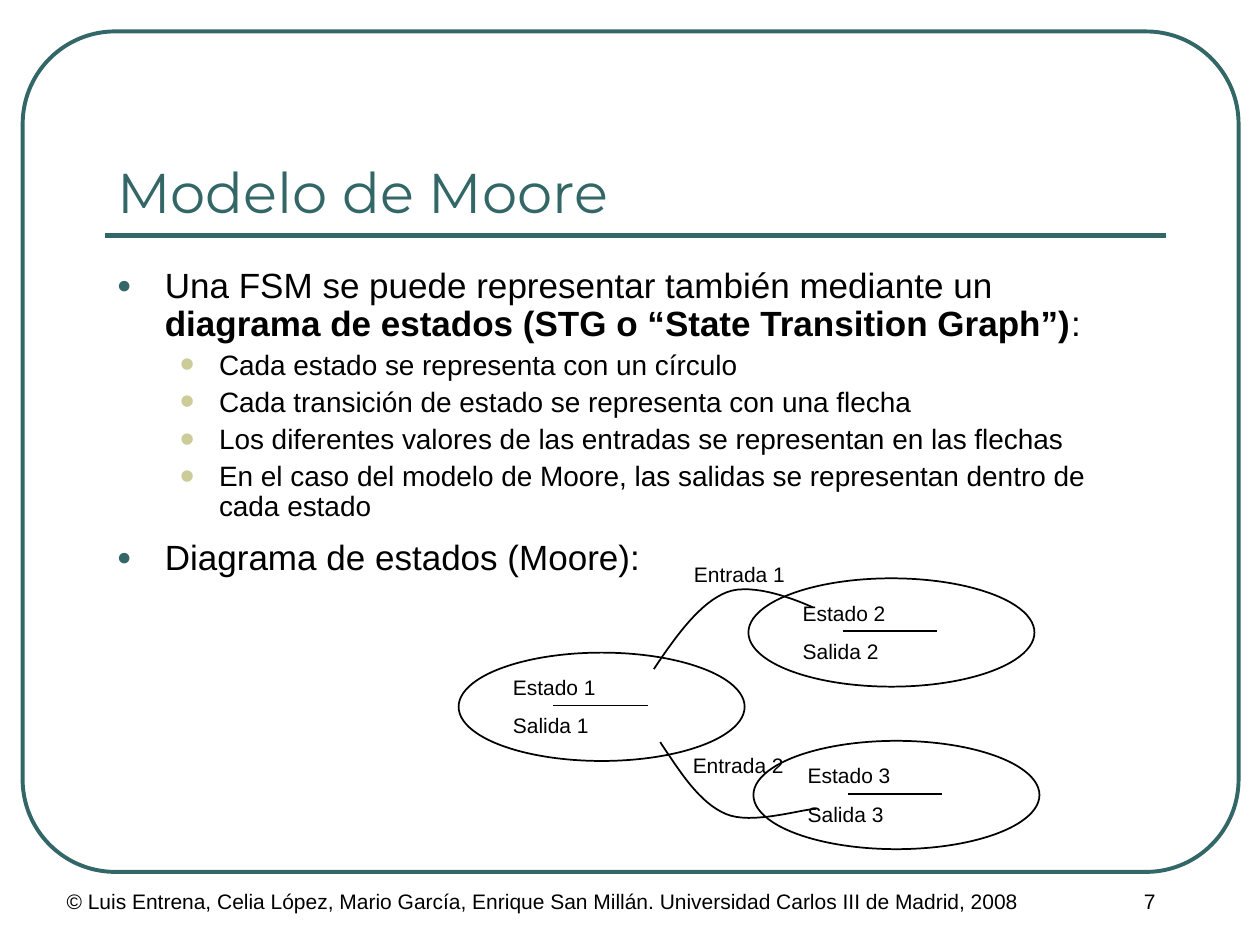
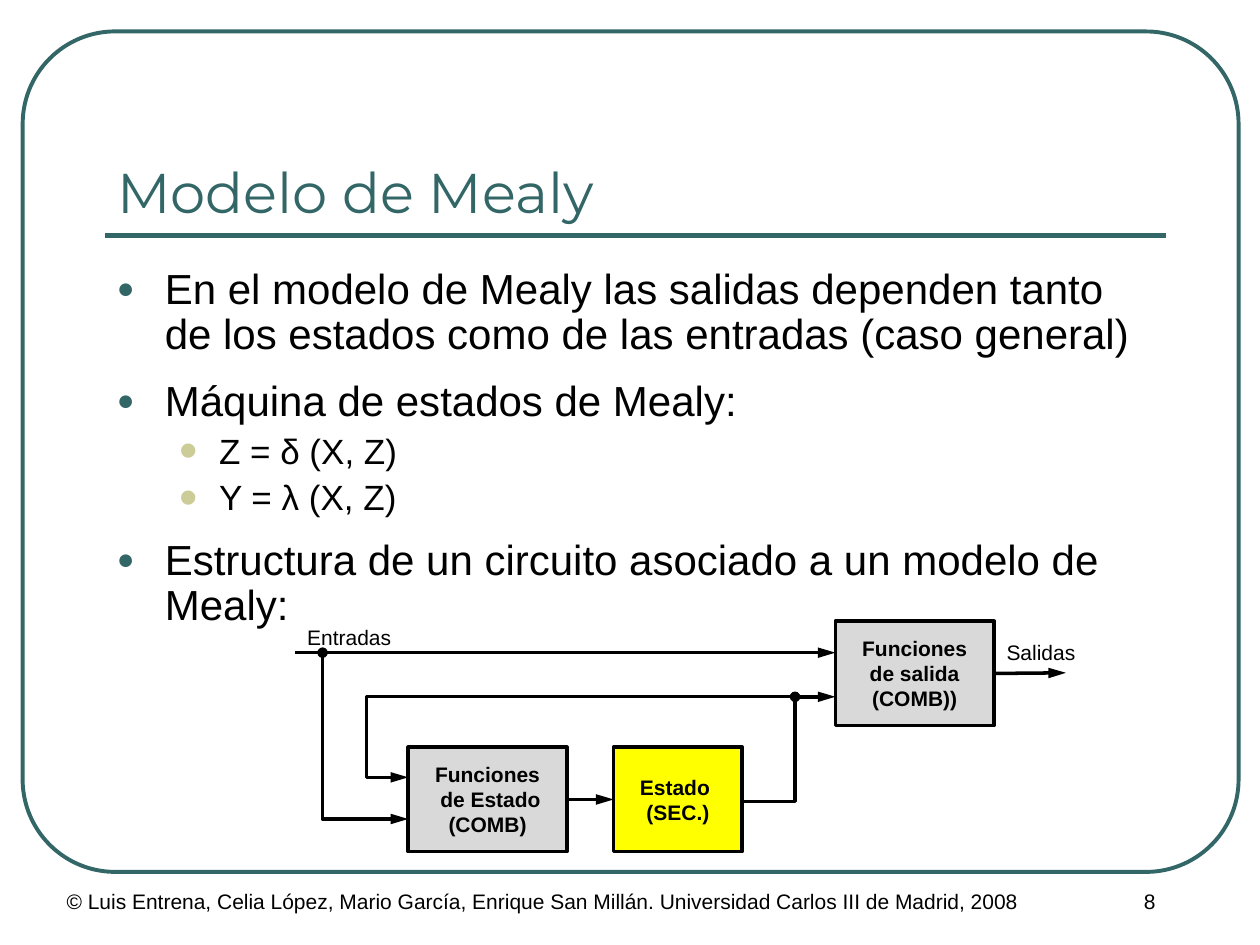
import pptx
import pptx.util
import pptx.dml.color
import pptx.enum.shapes
import pptx.enum.text
import pptx.oxml.ns
from lxml import etree

Inches = pptx.util.Inches
Pt = pptx.util.Pt
RGBColor = pptx.dml.color.RGBColor
Shape = pptx.enum.shapes.MSO_SHAPE
Align = pptx.enum.text.PP_ALIGN
Anchor = pptx.enum.text.MSO_ANCHOR
Fit = pptx.enum.text.MSO_AUTO_SIZE
qn = pptx.oxml.ns.qn

TEAL = RGBColor(0x33, 0x66, 0x66)
SAND = RGBColor(0xCC, 0xCC, 0x99)
BLACK = RGBColor(0, 0, 0)
GRAY = RGBColor(0xD9, 0xD9, 0xD9)
YELLOW = RGBColor(0xFF, 0xFF, 0)

CREDIT = ("© Luis Entrena, Celia López, Mario García, Enrique San Millán. "
          "Universidad Carlos III de Madrid, 2008")
BODY = (0.83, 2.08, 8.42, 4.79)
LEVELS = [("●", TEAL, 70, 0.38, 0.38), ("•", SAND, 150, 0.81, 0.31)]


def write(frame, text, size=12, color=BLACK, font="Arial", bold=False,
          align=Align.LEFT, before=0, lead=None):
    para = frame.paragraphs[0]
    if para.runs:
        para = frame.add_paragraph()
        para.space_before = Pt(before)
    para.alignment = align
    if lead:
        para.line_spacing = lead
    for row, line in enumerate(text.split("\n")):
        if row:
            para.add_line_break()
        for part, words in enumerate(line.split("**")):
            run = para.add_run()
            run.text = words
            run.font.size = Pt(size)
            run.font.name = font
            run.font.bold = bold or part % 2 == 1
            run.font.color.rgb = color
    for stop in para._p.findall(qn("a:br")):
        etree.SubElement(stop, qn("a:rPr"), sz=str(size * 100))
    return para


def dot(para, level):
    char, color, scale, left, hang = LEVELS[level]
    para.level = level
    props = para._p.get_or_add_pPr()
    props.set("marL", str(Inches(left)))
    props.set("indent", str(-Inches(hang)))
    tint = etree.SubElement(props, qn("a:buClr"))
    etree.SubElement(tint, qn("a:srgbClr"), val=str(color))
    etree.SubElement(props, qn("a:buSzPct"), val=str(scale * 1000))
    etree.SubElement(props, qn("a:buFont"), typeface="Arial")
    etree.SubElement(props, qn("a:buChar"), char=char)


def label(slide, box, text, **style):
    item = slide.shapes.add_textbox(*map(Inches, box))
    item.text_frame.word_wrap = True
    write(item.text_frame, text, **style)


def points(slide, box, rows, sizes, gaps):
    frame = slide.shapes.add_textbox(*map(Inches, box)).text_frame
    frame.word_wrap = True
    for level, text in rows:
        para = write(frame, text, size=sizes[level], before=gaps[level], lead=0.9)
        dot(para, level)


def stroke(item, color, width, head=None, tail=None):
    item.line.color.rgb = color
    item.line.width = Pt(width)
    edge = item.line._get_or_add_ln()
    if head:
        etree.SubElement(edge, qn("a:headEnd"), type=head)
    if tail:
        etree.SubElement(edge, qn("a:tailEnd"), type=tail, w="med", len="lg")


def solid(slide, kind, box, fill=None, color=BLACK, width=1):
    item = slide.shapes.add_shape(kind, *map(Inches, box))
    item.shadow.inherit = False
    if fill:
        item.fill.solid()
        item.fill.fore_color.rgb = fill
    else:
        item.fill.background()
    stroke(item, color, width)
    return item


def line(slide, start, end, color=BLACK, width=1, head=None, tail=None):
    item = slide.shapes.add_connector(
        pptx.enum.shapes.MSO_CONNECTOR.STRAIGHT, *map(Inches, start + end))
    stroke(item, color, width, head, tail)
    etree.SubElement(item._element.spPr, qn("a:effectLst"))
    return item


def trace(slide, spots, width=1, head=None, tail=None):
    spots = [(Inches(x), Inches(y)) for x, y in spots]
    pen = slide.shapes.build_freeform(*spots[0])
    pen.add_line_segments(spots[1:], close=False)
    item = pen.convert_to_shape()
    item.shadow.inherit = False
    item.fill.background()
    stroke(item, BLACK, width, head, tail)


def curve(knots, steps=16):
    spots = [knots[0]]
    for first in range(0, len(knots) - 1, 3):
        a, b, c, d = knots[first:first + 4]
        for step in range(1, steps + 1):
            t = step / steps
            u = 1 - t
            spots.append(tuple(
                u**3 * a[k] + 3 * u * u * t * b[k] + 3 * u * t * t * c[k] + t**3 * d[k]
                for k in (0, 1)))
    return spots


def base(deck, title, number):
    slide = deck.slides.add_slide(deck.slide_layouts[5])
    frame = solid(slide, Shape.ROUNDED_RECTANGLE, (0.18, 0.25, 9.65, 6.67),
                  color=TEAL, width=2.25)
    frame.adjustments[0] = 0.11
    line(slide, (0.83, 1.87), (9.25, 1.87), color=TEAL, width=3)
    label(slide, (0.43, 7, 8.5, 0.5), CREDIT)
    label(slide, (8.25, 7, 1.75, 0.5), str(number), align=Align.CENTER)
    head = slide.shapes.title
    head.left, head.top, head.width, head.height = map(Inches, (0.83, 0.58, 8.42, 1.25))
    head.text_frame.auto_size = Fit.NONE
    head.text_frame.vertical_anchor = Anchor.BOTTOM
    write(head.text_frame, title, size=32, color=TEAL, font="Montserrat")
    return slide


def state(slide, left, top, number):
    item = solid(slide, Shape.OVAL, (left, top, 2.27, 0.86))
    frame = item.text_frame
    frame.word_wrap = True
    frame.vertical_anchor = Anchor.TOP
    for name in ("Estado", "Salida"):
        write(frame, f"{name} {number}", before=7.5)
    line(slide, (left + 0.75, top + 0.42), (left + 1.5, top + 0.42))


def graph(slide, left, top):
    for number, (x, y) in enumerate([(0, 0.59), (2.3, 0), (2.34, 1.29)], 1):
        state(slide, left + x, top + y, number)
    rise = [(1.55, 0.72), (1.73, 0.45), (1.92, 0.19), (2.13, 0.11),
            (2.34, 0.03), (2.7, 0.18), (2.81, 0.23)]
    fall = [(1.6, 1.3), (1.76, 1.54), (1.91, 1.78), (2.12, 1.87),
            (2.32, 1.96), (2.73, 1.83), (2.84, 1.83)]
    for knots in (rise, fall):
        trace(slide, curve([(left + x, top + y) for x, y in knots]))
    for number, (x, y) in enumerate([(1.77, -0.18), (1.76, 1.33)], 1):
        label(slide, (left + x, top + y, 1.56, 0.3), f"Entrada {number}")


def block(slide, box, text, fill):
    item = solid(slide, Shape.RECTANGLE, box, fill=fill, width=2)
    item.text_frame.word_wrap = False
    item.text_frame.vertical_anchor = Anchor.MIDDLE
    write(item.text_frame, text, bold=True, align=Align.CENTER)
    return item


def circuit(slide, left, top):
    def at(x, y):
        return left + x, top + y

    wide, high = 1.26, 0.83
    logic = block(slide, (*at(0.9, 1), wide, high), "Funciones\n de Estado\n(COMB)", GRAY)
    store = block(slide, (*at(2.53, 1), 1.02, high), "Estado \n(SEC.)", YELLOW)
    out = block(slide, (*at(4.29, 0), wide, high), "Funciones\nde salida\n(COMB))", GRAY)

    arrow = dict(width=2, tail="triangle")
    link = line(slide, at(2.16, 1.41), at(2.53, 1.41), **arrow)
    link.begin_connect(logic, 3)
    link.end_connect(store, 1)
    line(slide, at(5.55, 0.41), at(6.12, 0.41), **arrow).begin_connect(out, 3)
    line(slide, at(0, 0.25), at(4.29, 0.25), **arrow)
    line(slide, at(3.97, 0.6), at(4.29, 0.6), head="oval", **arrow)
    trace(slide, [at(3.55, 1.43), at(3.97, 1.43), at(3.97, 0.6),
                  at(0.57, 0.6), at(0.57, 1.24), at(0.9, 1.24)], **arrow)
    trace(slide, [at(0.22, 0.25), at(0.22, 1.57), at(0.9, 1.57)], head="oval", **arrow)
    label(slide, (*at(0, -0.02), 1.1, 0.3), "Entradas")
    label(slide, (*at(5.55, 0.1), 1, 0.3), "Salidas")


def moore(deck):
    slide = base(deck, "Modelo de Moore", 7)
    points(slide, BODY, [
        (0, "Una FSM se puede representar también mediante un "
            "**diagrama de estados (STG o “State Transition Graph”)**:"),
        (1, "Cada estado se representa con un círculo"),
        (1, "Cada transición de estado se representa con una flecha"),
        (1, "Los diferentes valores de las entradas se representan en las flechas"),
        (1, "En el caso del modelo de Moore, las salidas se representan "
            "dentro de cada estado"),
        (0, "Diagrama de estados (Moore):"),
    ], sizes=(20, 16), gaps=(10, 4))
    graph(slide, 3.64, 4.59)


def mealy(deck):
    slide = base(deck, "Modelo de Mealy", 8)
    points(slide, BODY, [
        (0, "En el modelo de Mealy las salidas dependen tanto de los estados "
            "como de las entradas (caso general)"),
        (0, "Máquina de estados de Mealy:"),
        (1, "Z = δ (X, Z)"),
        (1, "Y = λ (X, Z)"),
        (0, "Estructura de un circuito asociado a un modelo de Mealy:"),
    ], sizes=(24, 20), gaps=(12, 5))
    circuit(slide, 2.34, 4.93)


def main():
    deck = pptx.Presentation()
    deck.slide_width, deck.slide_height = Inches(10), Inches(7.5)
    moore(deck)
    mealy(deck)
    deck.save("out.pptx")


if __name__ == "__main__":
    main()
